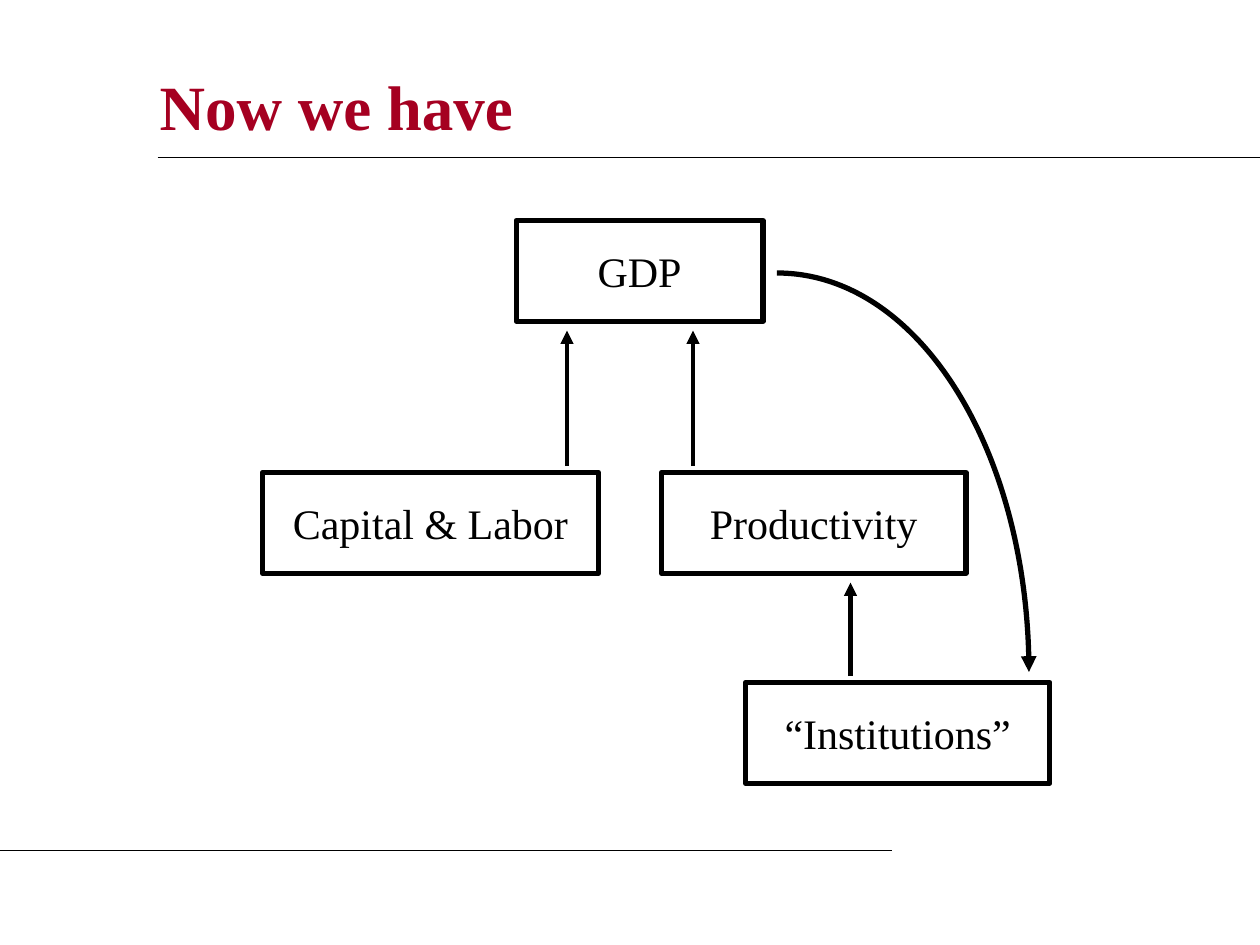
from lxml.etree import SubElement
from pptx import Presentation
from pptx.dml.color import RGBColor
from pptx.enum.shapes import MSO_CONNECTOR, MSO_SHAPE
from pptx.enum.text import MSO_ANCHOR, MSO_AUTO_SIZE, PP_ALIGN
from pptx.oxml.ns import qn
from pptx.util import Pt

BLACK = RGBColor(0x00, 0x00, 0x00)
CRIMSON = RGBColor(0xA5, 0x00, 0x21)
FONT = "Times New Roman"
BOX_HEIGHT = 57.6
BOXES = [
    ("Capital & Labor", 150, 270, 192),
    ("Productivity", 378, 270, 174),
    ("GDP", 295, 126, 141),
    ("“Institutions”", 426, 390, 174),
]
RULES = [(90, 90, 720), (0, 486, 510)]
ARROWS = [(324, 266.4, 189), (396, 266.4, 189), (486, 386.4, 333)]


def style_text(p, size, color, align, bold=False):
    p.alignment = align
    for r in p.runs:
        r.font.name = FONT
        r.font.size = Pt(size)
        r.font.bold = bold
        r.font.color.rgb = color


def style_line(shape, width, arrow=False):
    shape.line.color.rgb = BLACK
    shape.line.width = Pt(width)
    if arrow:
        SubElement(shape.line._get_or_add_ln(), qn("a:tailEnd"), type="triangle")


def add_title(s, text):
    title = s.shapes.title
    title.left, title.top, title.width, title.height = Pt(84), Pt(30), Pt(582), Pt(60)
    tf = title.text_frame
    tf.text = text
    tf.vertical_anchor = MSO_ANCHOR.MIDDLE
    style_text(tf.paragraphs[0], 36, CRIMSON, PP_ALIGN.LEFT, True)


def add_line(s, x1, y1, x2, y2, width, arrow=False):
    line = s.shapes.add_connector(
        MSO_CONNECTOR.STRAIGHT, Pt(x1), Pt(y1), Pt(x2), Pt(y2))
    style_line(line, width, arrow)
    SubElement(line._element.spPr, qn("a:effectLst"))


def add_box(s, text, left, top, width):
    box = s.shapes.add_shape(
        MSO_SHAPE.RECTANGLE, Pt(left), Pt(top), Pt(width), Pt(BOX_HEIGHT))
    box.shadow.inherit = False
    box.fill.background()
    style_line(box, 3)
    tf = box.text_frame
    tf.word_wrap = True
    tf.auto_size = MSO_AUTO_SIZE.SHAPE_TO_FIT_TEXT
    tf.vertical_anchor = MSO_ANCHOR.TOP
    tf.margin_left = tf.margin_right = tf.margin_top = tf.margin_bottom = Pt(14.4)
    tf.text = text
    style_text(tf.paragraphs[0], 24, BLACK, PP_ALIGN.CENTER)


def add_curve(s, start, control1, control2, end):
    builder = s.shapes.build_freeform(Pt(start[0]), Pt(start[1]))
    builder.add_line_segments(
        [(Pt(x), Pt(y)) for x, y in (control1, control2, end)], close=False)
    curve = builder.convert_to_shape()
    outline = next(curve._element.iter(qn("a:moveTo"))).getparent()
    bezier = SubElement(outline, qn("a:cubicBezTo"))
    for segment in outline.findall(qn("a:lnTo")):
        bezier.append(segment[0])
        outline.remove(segment)
    curve.shadow.inherit = False
    curve.fill.background()
    style_line(curve, 3, True)


def main():
    prs = Presentation()
    prs.slide_width, prs.slide_height = Pt(720), Pt(540)
    s = prs.slides.add_slide(prs.slide_layouts[5])
    add_title(s, "Now we have")
    for left, y, right in RULES:
        add_line(s, left, y, right, y, 0.75)
    for box in BOXES:
        add_box(s, *box)
    for x, bottom, top in ARROWS:
        add_line(s, x, bottom, x, top, 2.5, True)
    add_curve(s, (444, 156), (523.5, 156), (588, 258), (588, 384))
    prs.save("out.pptx")


if __name__ == "__main__":
    main()
